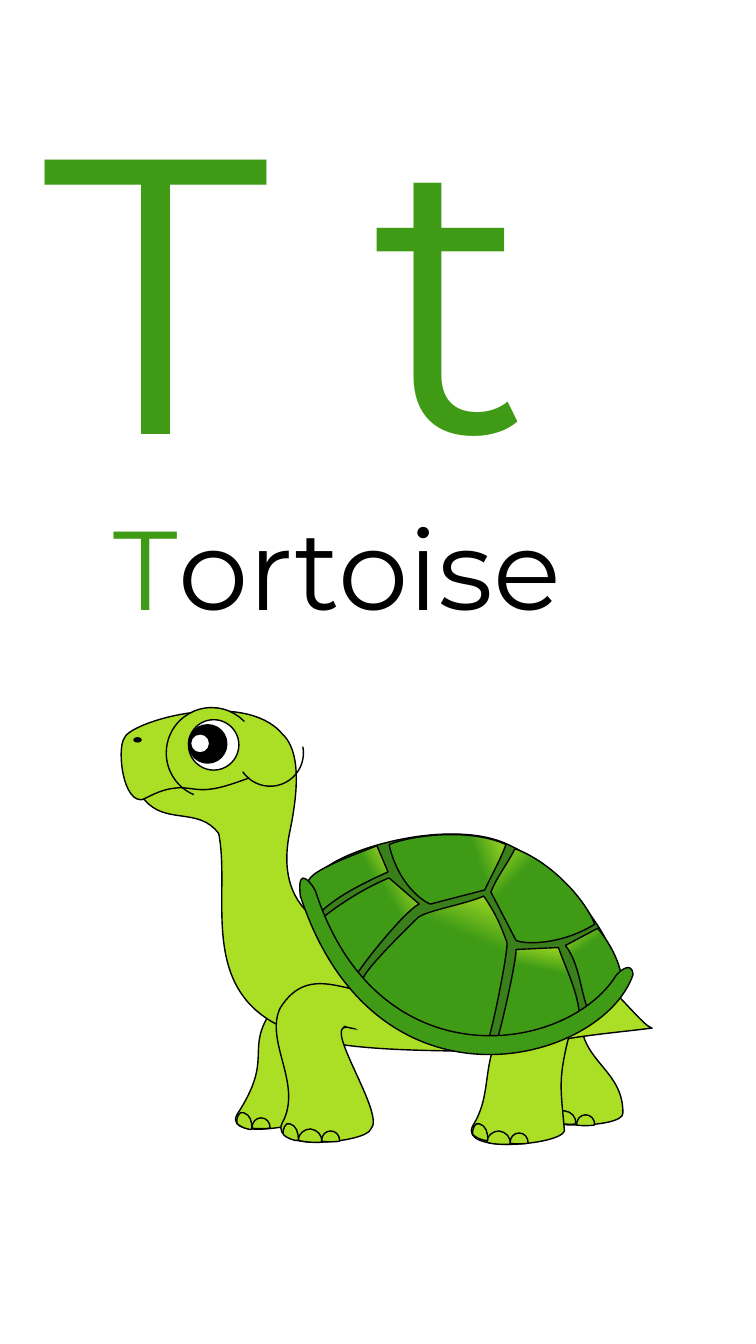
from pptx import Presentation
from pptx.dml.color import RGBColor
from pptx.enum.shapes import MSO_SHAPE
from pptx.enum.text import MSO_ANCHOR, MSO_AUTO_SIZE
from pptx.oxml.ns import qn
from pptx.util import Pt

ARC, OVAL = MSO_SHAPE.ARC, MSO_SHAPE.OVAL
TOP, GROW = MSO_ANCHOR.TOP, MSO_AUTO_SIZE.SHAPE_TO_FIT_TEXT
GRID = 0.72
FONT = "Montserrat"
GREEN, LIME, SEAM = "3F9B16", "ABDF25", "3A801A"
BLACK, WHITE = "000000", "FFFFFF"

BODY = ("123 733|127 716 242 683 280 728|294 741 299 769 288 823|252 986 513 924 505 924|"
        "571 921 633 1018 647 1020|599 1026 561 1028 505 1043|373 1043 316 1039 280 1019|"
        "196 980 229 887 217 827|197 800 164 819 143 793|122 799 116 744 123 733")
FAR_FRONT_LEG = ("266 1008|296 960 310 982 343 973|343 987 343 987 343 987|"
                 "323 1058 327 1049 331 1099|327 1113 221 1135 235 1106|271 1051 245 1044 266 1008")
FAR_HIND_LEG = ("555 1003|586 955 537 977 571 968|571 968 580 981 580 981|"
                "560 1053 618 1053 618 1104|620 1121 512 1121 526 1099|546 1067 535 1039 555 1003")
NEAR_HIND_LEG = ("498 1021|529 973 539 995 572 986|572 986 572 1000 572 1000|"
                 "552 1071 556 1073 560 1122|556 1136 455 1145 469 1117|489 1085 477 1057 498 1021")
NEAR_FRONT_LEG = ("278 1000|308 952 350 992 383 983|383 983 374 1004 374 1004|"
                  "377 1034 330 1014 344 1019|320 1017 383 1106 368 1120|"
                  "364 1134 266 1143 280 1114|301 1076 262 1033 278 1000")
MOUTH = ("142 793|152 788 162 783 173 782|184 780 196 785 208 783|"
         "220 782 238 775 244 773|250 771 245 772 245 772")
SHELL = ("314 871|325 846 441 810 502 837|563 864 610 933 612 964|"
         "600 1014 519 1057 428 1021|337 984 304 897 314 871")
RIM = ("298 889|294 855 311 879 313 884|375 1075 563 1045 611 968|"
       "615 963 627 953 628 967|598 1055 373 1116 298 889")
PLATES = [
    ("386 838|407 829 466 821 502 838|496 854 488 868 481 883|427 897|419 894 395 877 386 838", 159),
    ("590 917|582 895 549 856 511 842|504 856 493 870 487 885|512 933|520 937 556 938 590 917", 45),
    ("306 875|306 864 354 847 374 839|385 865|363 875 336 888 319 904|317 900 305 892 306 875", 151),
    ("322 909|341 894 366 879 386 871|416 897|405 901 367 947 355 965|350 963 320 926 322 909", 151),
    ("503 935|495 913 490 904 480 889|462 897 425 903 415 910|407 918 357 966 360 973|"
     "389 1003 430 1031 484 1032|486 1033 504 947 503 935", 113),
    ("575 1009|574 985 561 960 554 940|512 942|512 953 500 1008 494 1029|499 1031 563 1022 575 1009", 102),
    ("616 966|614 955 607 938 593 921|561 938|575 957 575 979 583 1001|586 999 609 982 616 966", 55),
]
SMALL_TOE = "0 0|0 -6 4 -10 9 -10|14 -10 18 -6 18 0|16 1 1 1 0 0"
MIDDLE_TOE = "0 0|0 -6 6 -11 12 -11|19 -10 24 -5 23 2|21 3 2 2 0 0"
EDGE_TOE = "0 0|-1 -3 2 -13 7 -10|13 -8 15 -2 15 6|13 8 1 3 0 0"
FAR_FRONT_TOES = [(SMALL_TOE, 250, 1119), (EDGE_TOE, 235, 1114)]
FAR_HIND_TOES = [(SMALL_TOE, 572, 1116), (MIDDLE_TOE, 548, 1113)]
NEAR_TOES = [
    (SMALL_TOE, 319, 1132), (MIDDLE_TOE, 296, 1131), (EDGE_TOE, 281, 1125),
    (SMALL_TOE, 506, 1134), (MIDDLE_TOE, 483, 1133), (EDGE_TOE, 469, 1125),
]


def rgb(value):
    return RGBColor.from_string(value)


def bend(shape, sizes):
    contour = next(shape._element.iter(qn("a:path")))
    corners = iter(contour.findall(qn("a:lnTo")))
    for size in sizes:
        first = next(corners)
        if size == 3:
            first.tag = qn("a:cubicBezTo")
            for corner in (next(corners), next(corners)):
                first.append(corner[0])
                contour.remove(corner)


class Card:
    def __init__(self, slide):
        self.slide = slide
        self.drawing = slide.shapes.add_group_shape().shapes

    def text(self, left, top, width, height, size, runs):
        box = self.slide.shapes.add_textbox(Pt(left), Pt(top), Pt(width), Pt(height))
        frame = box.text_frame
        frame.word_wrap = True
        frame.auto_size = GROW
        frame.vertical_anchor = TOP
        for words, color in runs:
            run = frame.paragraphs[0].add_run()
            run.text = words
            run.font.name = FONT
            run.font.size = Pt(size)
            run.font.color.rgb = rgb(color)

    def paint(self, shape, fill, outlined=True):
        shape.shadow.inherit = False
        if fill:
            shape.fill.solid()
            shape.fill.fore_color.rgb = rgb(fill)
        else:
            shape.fill.background()
        if outlined:
            shape.line.color.rgb = rgb(BLACK)
            shape.line.width = Pt(1)
        else:
            shape.line.fill.background()

    def outline(self, path, fill=LIME, dx=0, dy=0, close=True):
        segments = []
        for part in path.split("|"):
            numbers = [int(n) for n in part.split()]
            segments.append([(Pt((x + dx) * GRID), Pt((y + dy) * GRID))
                             for x, y in zip(numbers[::2], numbers[1::2])])
        start, *segments = segments
        builder = self.drawing.build_freeform(*start[0])
        builder.add_line_segments(sum(segments, []), close=close)
        shape = builder.convert_to_shape()
        bend(shape, [len(segment) for segment in segments])
        self.paint(shape, fill)
        return shape

    def plate(self, path, angle):
        fill = self.outline(path, GREEN).fill
        fill.gradient()
        fill.gradient_angle = 360 - angle
        for stop, color, position in zip(fill.gradient_stops, (LIME, GREEN), (0, 0.28)):
            stop.color.rgb = rgb(color)
            stop.position = position

    def toes(self, toes):
        for path, x, y in toes:
            self.outline(path, dx=x, dy=y)

    def oval(self, left, top, width, height, fill, outlined=True):
        shape = self.drawing.add_shape(OVAL, Pt(left), Pt(top), Pt(width), Pt(height))
        self.paint(shape, fill, outlined)

    def arc(self, left, top, size, rotation, start, end, fill=None):
        shape = self.drawing.add_shape(ARC, Pt(left), Pt(top), Pt(size), Pt(size))
        shape.adjustments[0] = start * 0.6
        shape.adjustments[1] = end * 0.6
        shape.rotation = rotation
        self.paint(shape, fill)


def main():
    deck = Presentation()
    deck.slide_width, deck.slide_height = Pt(540), Pt(960)
    card = Card(deck.slides.add_slide(deck.slide_layouts[6]))

    card.text(23.76, 26.64, 570.96, 358.56, 280, [("T t", GREEN)])
    card.text(74.16, 352.8, 388.8, 104.4, 80, [("T", GREEN), ("ortoise", BLACK)])

    card.outline(FAR_FRONT_LEG)
    card.toes(FAR_FRONT_TOES)
    card.outline(FAR_HIND_LEG)
    card.toes(FAR_HIND_TOES)
    card.outline(BODY)
    card.arc(118.8, 505.44, 64.8, 314.8, 158.34, 1.49, LIME)
    card.outline(NEAR_HIND_LEG)
    card.outline(NEAR_FRONT_LEG)
    card.oval(134.64, 514.08, 36, 36, WHITE)
    card.oval(95.76, 527.04, 5.04, 2.88, BLACK)
    card.outline(MOUTH, None, close=False)
    card.arc(169.2, 514.08, 47.52, 145.7, 203.25, 0)
    card.toes(NEAR_TOES)
    card.oval(134.64, 517.68, 27.36, 27.36, BLACK)
    card.oval(136.08, 524.16, 13.68, 13.68, WHITE)
    card.oval(245.52, 700.56, 30.96, 36, LIME, outlined=False)
    card.outline(SHELL, SEAM)
    for path, angle in PLATES:
        card.plate(path, angle)
    card.outline(RIM, GREEN)

    deck.save("out.pptx")


if __name__ == "__main__":
    main()
